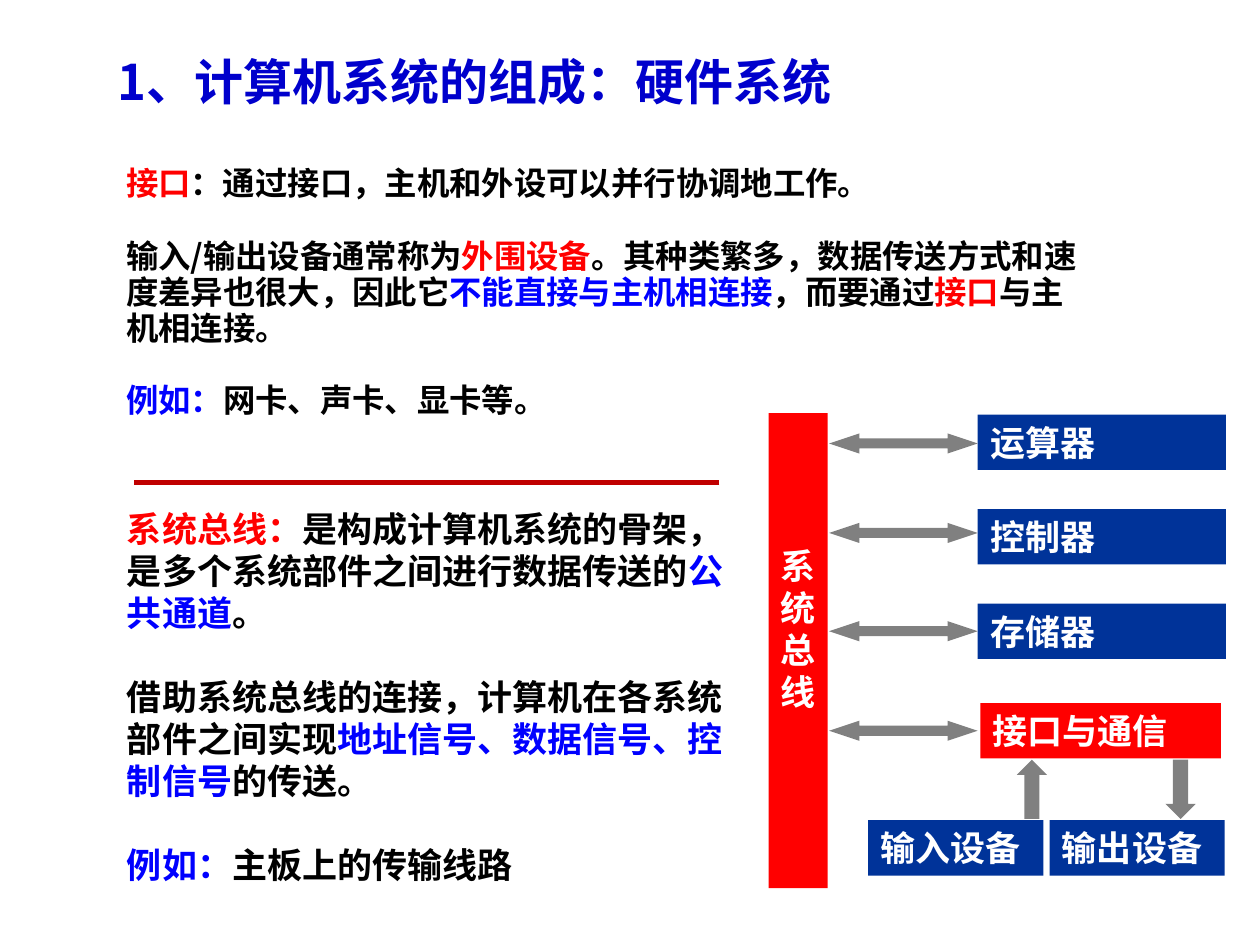
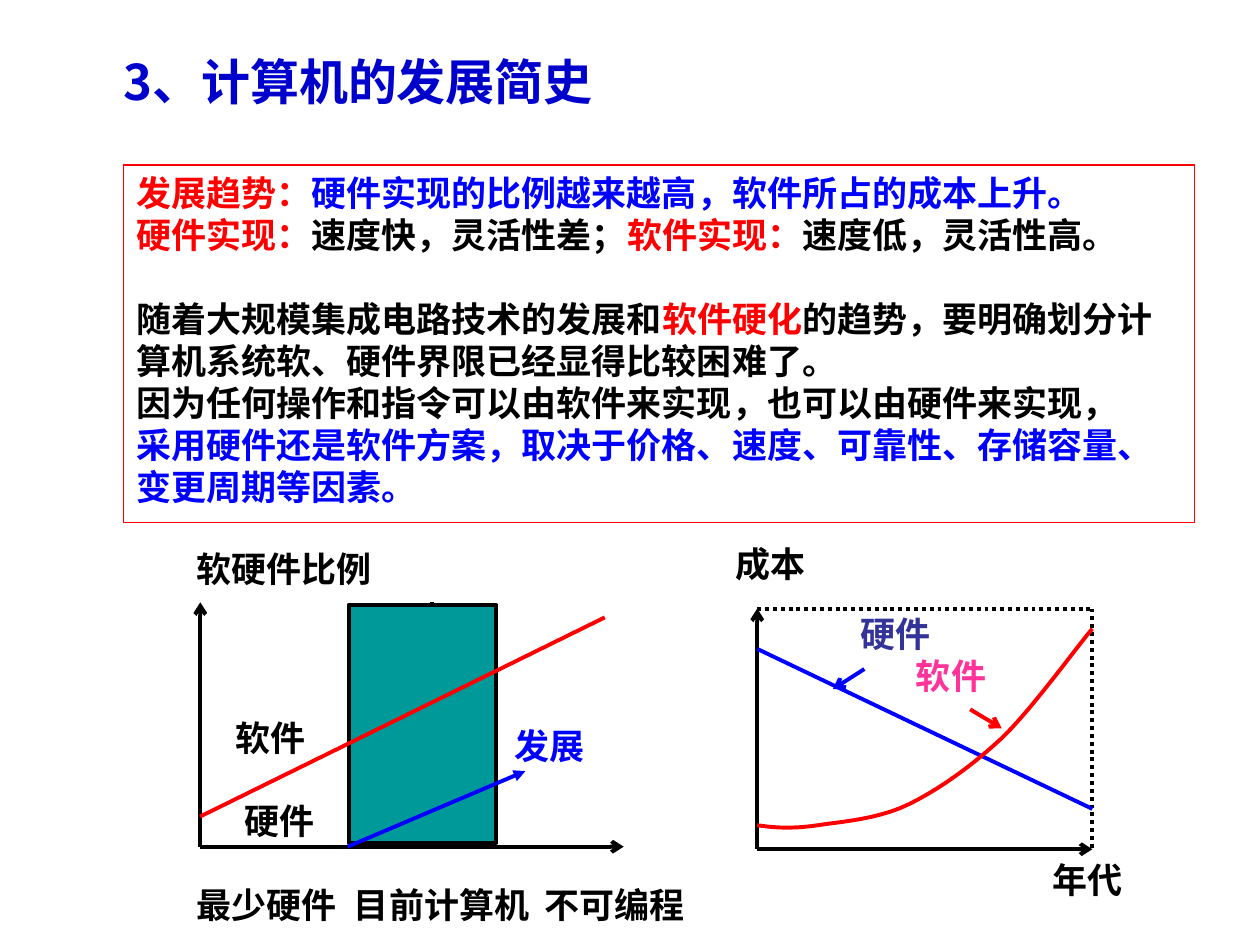
from lxml import etree
from pptx import Presentation, util as u
from pptx.dml.color import RGBColor
from pptx.enum import dml, shapes, text
from pptx.oxml.ns import qn

FONT = "Noto Sans CJK SC"
HEX = {
    "ink": "000000", "white": "FFFFFF", "red": "FF0000", "blue": "0000FF",
    "title": "0000CC", "navy": "003399", "grey": "808080", "rule": "C00000",
    "teal": "009999", "indigo": "333399", "pink": "FF3399",
}
MARKS = {"r": "red", "b": "blue"}
KIND = shapes.MSO_SHAPE
MID, TOP = text.MSO_ANCHOR.MIDDLE, text.MSO_ANCHOR.TOP


def rgb(name):
    return RGBColor.from_string(HEX[name])


def style(run, size, color):
    font = run.font
    font.size, font.bold, font.name = u.Pt(size), True, FONT
    font.color.rgb = rgb(color)
    etree.SubElement(run._r.get_or_add_rPr(), qn("a:ea"), typeface=FONT)


def place(shape, left, top, wide, high):
    shape.left, shape.top = u.Inches(left), u.Inches(top)
    shape.width, shape.height = u.Inches(wide), u.Inches(high)


def frame(shape, anchor):
    body = shape.text_frame
    body.word_wrap, body.auto_size = True, text.MSO_AUTO_SIZE.NONE
    body.vertical_anchor = anchor
    return body


def write(shape, paras, size, pitch):
    """Fill with (gap before, marked text); {r...} is red and {b...} is blue."""
    body = frame(shape, TOP)
    for i, (gap, mark) in enumerate(paras):
        para = body.add_paragraph() if i else body.paragraphs[0]
        props = para._p.get_or_add_pPr()
        props.set("marL", "0")
        props.set("indent", "0")
        etree.SubElement(props, qn("a:buNone"))
        para.line_spacing, para.space_before = u.Pt(pitch), u.Pt(gap)
        for j, part in enumerate(mark.replace("}", "{").split("{")):
            color = MARKS[part[0]] if j % 2 else "ink"
            for k, line in enumerate(part[j % 2:].split("\v")):
                if k:
                    para.add_line_break()
                if line:
                    run = para.add_run()
                    run.text = line
                    style(run, size, color)


def new_page(deck, title, left):
    page = deck.slides.add_slide(deck.slide_layouts[1])
    head = page.shapes.title
    place(head, left, 0.36, 8, 0.57)
    body = frame(head, MID)
    body.text = title
    para = body.paragraphs[0]
    para.alignment = text.PP_ALIGN.LEFT
    style(para.runs[0], 28, "title")
    return page


def block(page, kind, color, left, top, wide, high):
    shape = page.shapes.add_shape(kind, *map(u.Inches, (left, top, wide, high)))
    shape.shadow.inherit = False
    shape.fill.solid()
    shape.fill.fore_color.rgb = rgb(color)
    shape.line.fill.background()
    return shape


def box(page, name, color, left, top, wide):
    body = frame(block(page, KIND.RECTANGLE, color, left, top, wide, 0.44), MID)
    body.text = name
    para = body.paragraphs[0]
    para.alignment = text.PP_ALIGN.LEFT
    style(para.runs[0], 20, "white")


def label(page, name, left, mid, color="ink"):
    """Put a short label with its left edge and middle height given."""
    shape = page.shapes.add_textbox(0, 0, 0, 0)
    place(shape, left, mid - 0.24, 0.3 * len(name), 0.44)
    body = frame(shape, MID)
    body.margin_left = body.margin_right = 0
    body.text = name
    style(body.paragraphs[0].runs[0], 20, color)


def line(page, start, end, color="ink", width=2.25, head=None, dash=False):
    ends = map(u.Inches, (*start, *end))
    link = page.shapes.add_connector(shapes.MSO_CONNECTOR.STRAIGHT, *ends)
    link.line.color.rgb, link.line.width = rgb(color), u.Pt(width)
    if dash:
        link.line.dash_style = dml.MSO_LINE.ROUND_DOT
    if head:
        etree.SubElement(link.line._get_or_add_ln(), qn("a:tailEnd"), type=head)
    etree.SubElement(link._element.spPr, qn("a:effectLst"))


def axes(page, left, top, wide, high):
    base = top + high
    line(page, (left, base), (left, top), head="arrow")
    line(page, (left, base), (left + wide, base), head="arrow")


def curve(page, start, arcs, color):
    """Draw cubic arcs, each given as two controls and an end."""
    points, steps = [], 10
    here = start
    for one, two, end in arcs:
        for t in (i / steps for i in range(1, steps + 1)):
            s = 1 - t
            points.append(tuple(
                u.Inches(s**3 * a + 3 * s * s * t * b + 3 * s * t * t * c + t**3 * d)
                for a, b, c, d in zip(here, one, two, end)))
        here = end
    pen = page.shapes.build_freeform(*map(u.Inches, start))
    pen.add_line_segments(points, close=False)
    shape = pen.convert_to_shape()
    shape.shadow.inherit = False
    shape.fill.background()
    shape.line.color.rgb, shape.line.width = rgb(color), u.Pt(2.25)


def bus(page, left, top):
    """Draw the system bus and the parts that hang on it."""
    trunk = block(page, KIND.RECTANGLE, "red", left, top, 0.47, 3.77)
    body = frame(trunk, MID)
    body.margin_bottom = u.Inches(0.4)
    body.text = "系\n统\n总\n线"
    for para in body.paragraphs:
        para.alignment, para.line_spacing = text.PP_ALIGN.CENTER, u.Pt(24)
        style(para.runs[0], 20, "white")

    for i, name in enumerate(("运算器", "控制器", "存储器")):
        box(page, name, "navy", left + 1.66, top + 0.01 + 0.75 * i, 1.97)
    box(page, "接口与通信", "red", left + 1.68, top + 2.3, 1.91)
    for drop in (0.16, 0.87, 1.65, 2.44):
        arrow = block(page, KIND.LEFT_RIGHT_ARROW, "grey",
                      left + 0.48, top + drop, 1.18, 0.16)
        arrow.adjustments[1] = 1.5

    for name, shift in (("输入设备", 0.79), ("输出设备", 2.23)):
        box(page, name, "navy", left + shift, top + 3.23, 1.39)
    for kind, shift in ((KIND.UP_ARROW, 1.97), (KIND.DOWN_ARROW, 3.15)):
        block(page, kind, "grey", left + shift, top + 2.75, 0.24, 0.47)


def ratio(page, left, top, wide, high):
    """Sketch the share of software and hardware."""
    base = top + high
    axes(page, left, top, wide, high)
    line(page, (left + 1.84, top), (left + 1.84, base), dash=True)
    band = block(page, KIND.RECTANGLE, "teal", left + 1.18, top + 0.02, 1.17, 1.89)
    band.line.color.rgb, band.line.width = rgb("ink"), u.Pt(2.25)
    line(page, (left, base - 0.24), (left + 3.21, top + 0.12), "red")
    line(page, (left + 1.17, base), (left + 2.58, base - 0.6), "blue",
         head="triangle")
    label(page, "软硬件比例", left - 0.03, top - 0.25)
    label(page, "软件", left + 0.28, top + 1.09)
    label(page, "硬件", left + 0.35, top + 1.75)
    label(page, "发展", left + 2.49, top + 1.16, "blue")
    for name, shift in (("最少硬件", -0.03), ("目前计算机", 1.22), ("不可编程", 2.73)):
        label(page, name, left + shift, base + 0.48)


def cost(page, left, top, wide, high):
    """Sketch the cost of hardware and software over the years."""
    right, base = left + wide, top + high
    axes(page, left, top, wide, high)
    line(page, (left, top), (right, top), dash=True)
    line(page, (right, top), (right, base), dash=True)
    line(page, (left, top + 0.32), (right, base - 0.32), "blue")
    arcs = (
        ((0.14, 1.74), (0.28, 1.75), (0.48, 1.72)),
        ((0.68, 1.69), (0.97, 1.67), (1.21, 1.55)),
        ((1.45, 1.43), (1.69, 1.26), (1.94, 1.03)),
        ((2.18, 0.8), (2.54, 0.3), (2.66, 0.16)),
    )
    curve(page, (left, top + 1.72),
          [[(left + x, top + y) for x, y in arc] for arc in arcs], "red")
    line(page, (left + 0.85, top + 0.48), (left + 0.6, top + 0.64), "blue",
         head="arrow")
    line(page, (left + 1.69, top + 0.8), (left + 1.94, top + 0.95), "red",
         head="arrow")
    label(page, "硬件", left + 0.82, top + 0.22, "indigo")
    label(page, "软件", left + 1.26, top + 0.55, "pink")
    label(page, "成本", left - 0.17, top - 0.34)
    label(page, "年代", right - 0.32, base + 0.26)


def system_page(deck):
    page = new_page(deck, "1、计算机系统的组成：硬件系统", 0.83)
    ports = page.placeholders[1]
    place(ports, 0.9, 1.27, 8.53, 2.13)
    write(ports, (
        (0, "{r接口}：通过接口，主机和外设可以并行协调地工作。"),
        (20.6, "输入/输出设备通常称为{r外围设备}。其种类繁多，数据传送方式和速\v"
               "度差异也很大，因此它{b不能直接与主机相连接}，而要通过{r接口}与主\v"
               "机相连接。"),
        (20.6, "{b例如：}网卡、声卡、显卡等。"),
    ), 18.5, 20.6)
    lanes = page.shapes.add_textbox(0, 0, 0, 0)
    place(lanes, 0.91, 3.98, 5.04, 3.1)
    write(lanes, (
        (0, "{r系统总线：}是构成计算机系统的骨架，是多个系统部件之间进行数据传送的"
            "{b公共通道}。"),
        (24, "借助系统总线的连接，计算机在各系统部件之间实现"
             "{b地址信号、数据信号、控制信号}的传送。"),
        (24, "{b例如：}主板上的传输线路"),
    ), 20, 24)
    bus(page, 6.1, 3.28)
    line(page, (5.71, 3.83), (1.06, 3.83), "rule", 3)


def history_page(deck):
    page = new_page(deck, "3、计算机的发展简史", 0.88)
    ratio(page, 1.59, 4.78, 3.36, 1.94)
    cost(page, 6.01, 4.83, 2.66, 1.91)
    trend = page.placeholders[1]
    place(trend, 0.98, 1.31, 8.5, 2.84)
    trend.line.color.rgb, trend.line.width = rgb("red"), u.Pt(0.75)
    write(trend, (
        (0, "{r发展趋势：}{b硬件实现的比例越来越高，软件所占的成本上升。}"),
        (0, "{r硬件实现：}速度快，灵活性差；{r软件实现：}速度低，灵活性高。"),
        (24, "随着大规模集成电路技术的发展和{r软件硬化}的趋势，要明确划分计"
             "算机系统软、硬件界限已经显得比较困难了。"),
        (0, "因为任何操作和指令可以由软件来实现，也可以由硬件来实现，"),
        (0, "{b采用硬件还是软件方案，取决于价格、速度、可靠性、存储容量、"
            "变更周期等因素。}"),
    ), 20, 24)


def main():
    deck = Presentation()
    deck.slide_width, deck.slide_height = u.Inches(10), u.Inches(7.5)
    system_page(deck)
    history_page(deck)
    deck.save("out.pptx")


if __name__ == "__main__":
    main()
